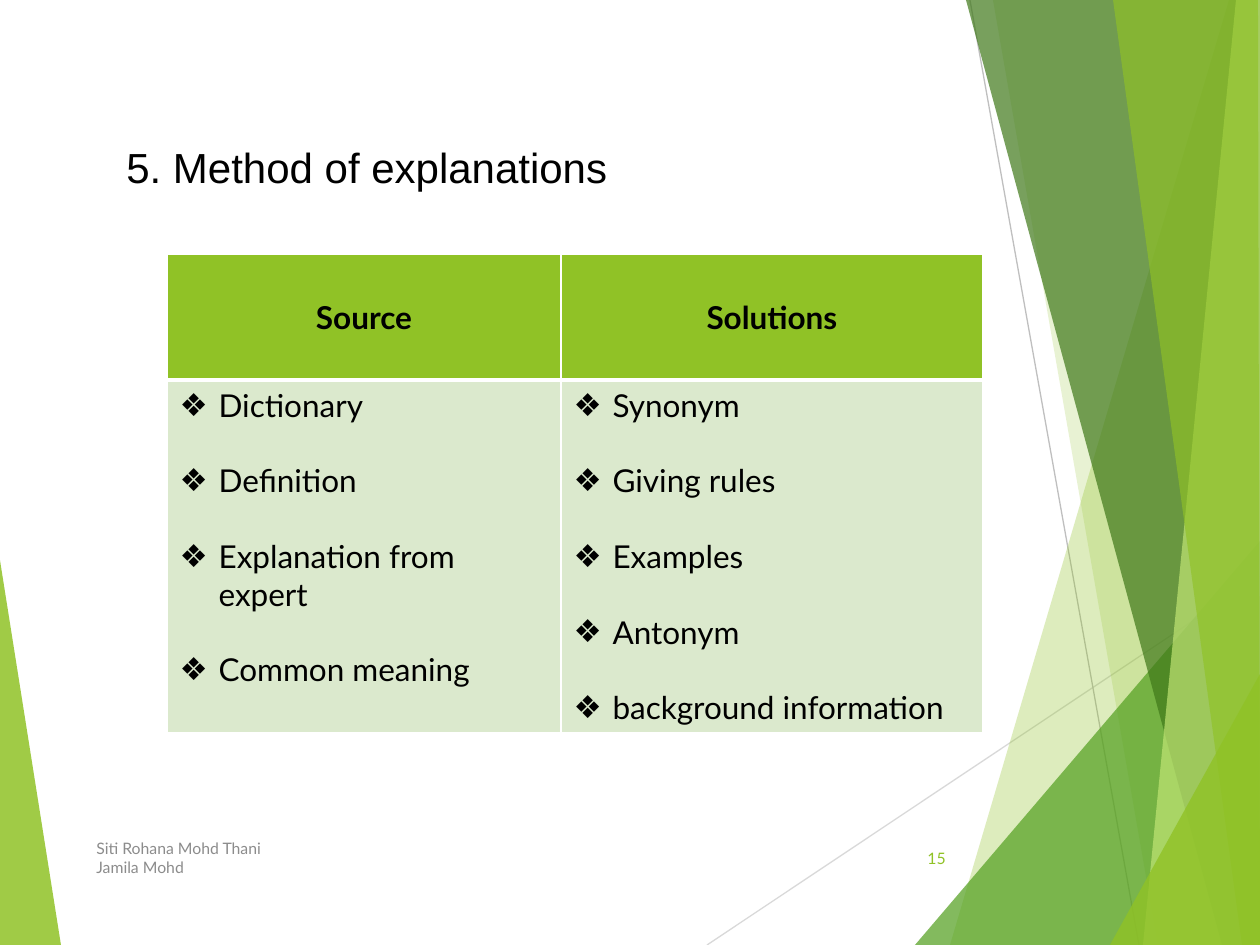
import pptx
import pptx.dml.color
import pptx.enum.shapes
import pptx.enum.text
import pptx.oxml.ns
import pptx.util
from lxml import etree

PX = 914400 / 126
W, H = 1260, 945
COLORS = {
    "lime": "90C226", "green": "54A021", "forest": "3F7819", "pale": "C0E474",
    "cell": "DBE9CD", "white": "FFFFFF", "black": "000000", "gray": "8C8C8C",
    "line_light": "D9D9D9", "line_dark": "BFBFBF",
}
ALIGN = pptx.enum.text.PP_ALIGN
MIDDLE = pptx.enum.text.MSO_ANCHOR.MIDDLE

# colour, opacity in percent, corner points
LEFT_FACET = ("lime", 85, [(0, 560), (61, H), (0, H)])
RIGHT_FACETS = [
    ("lime", 30, [(1229, 0), (950, H), (W, H), (W, 0)]),
    ("lime", 20, [(993, 0), (1158, H), (W, H), (W, 0)]),
    ("green", 72, [(915, H), (W, 541), (W, H)]),
    ("forest", 70, [(966, 0), (1222, H), (W, H), (W, 0)]),
    ("pale", 70, [(1236, 0), (1143, H), (W, H), (W, 0)]),
    ("lime", 65, [(1113, 0), (1242, H), (W, H), (1258, 0)]),
    ("lime", 80, [(1110, H), (W, 674), (W, H)]),
]
RAYS = [("line_light", (707, H), (W, 576)), ("line_dark", (970, 0), (1139, H))]

TITLE = "5. Method of explanations"
COLUMNS = [
    ("Source", 394, ["Dictionary", "Definition", "Explanation from expert",
                     "Common meaning"]),
    ("Solutions", 422, ["Synonym", "Giving rules", "Examples", "Antonym",
                        "background information"]),
]
ROW_HEIGHTS = [126, 352]
AUTHORS = ["Siti Rohana Mohd Thani", "Jamila Mohd"]
PAGE = "15"


def px(n):
    return pptx.util.Emu(round(n * PX))


def rgb(name):
    return pptx.dml.color.RGBColor.from_string(COLORS[name])


def sub(parent, tag, **attrs):
    return etree.SubElement(parent, pptx.oxml.ns.qn(tag), attrs)


def add_facet(s, color, opacity, points):
    builder = s.shapes.build_freeform(*points[0], scale=PX)
    builder.add_line_segments(points[1:], close=True)
    sp = builder.convert_to_shape()
    sp.shadow.inherit = False
    sp.line.fill.background()
    sp.fill.solid()
    sp.fill.fore_color.rgb = rgb(color)
    clr = sp.fill._xPr.find(".//" + pptx.oxml.ns.qn("a:srgbClr"))
    sub(clr, "a:alpha", val=str(opacity * 1000))


def add_ray(s, color, start, end):
    line = s.shapes.add_connector(pptx.enum.shapes.MSO_CONNECTOR.STRAIGHT,
                                  *map(px, start + end))
    line.line.color.rgb = rgb(color)
    line.line.width = pptx.util.Pt(0.75)
    sub(line._element.spPr, "a:effectLst")


def write(tf, lines, size=18, font="Lato", color="black", bold=False,
          align=ALIGN.LEFT, bullet=None, gap=0):
    """Write one paragraph per line, with gap points between them."""
    tf.word_wrap = True
    for i, text in enumerate(lines):
        p = tf.add_paragraph() if i else tf.paragraphs[0]
        p.alignment = align
        p.space_before = pptx.util.Pt(gap if i else 0)
        r = p.add_run()
        r.text = text
        r.font.size = pptx.util.Pt(size)
        r.font.name = font
        r.font.bold = bold
        r.font.color.rgb = rgb(color)
        if bullet:
            pPr = p._p.get_or_add_pPr()
            pPr.set("marL", str(px(39)))
            pPr.set("indent", str(px(-39)))
            sub(pPr, "a:buFont", typeface="Arial")
            sub(pPr, "a:buChar", char=bullet)


def add_text(s, box, lines, anchor=pptx.enum.text.MSO_ANCHOR.TOP, **fmt):
    tf = s.shapes.add_textbox(*map(px, box)).text_frame
    tf.vertical_anchor = anchor
    write(tf, lines, **fmt)


def style_cell(cell, color, top=1, bottom=1):
    """Give a cell white borders (widths in points) and a fill."""
    tcPr = cell._tc.get_or_add_tcPr()
    for side, width in zip("LRTB", (1, 1, top, bottom)):
        ln = sub(tcPr, "a:ln" + side, w=str(pptx.util.Pt(width)))
        sub(sub(ln, "a:solidFill"), "a:srgbClr", val=COLORS["white"])
    cell.fill.solid()
    cell.fill.fore_color.rgb = rgb(color)


def add_methods_table(s):
    width = sum(w for _, w, _ in COLUMNS)
    table = s.shapes.add_table(2, len(COLUMNS), px(167), px(254), px(width),
                               px(sum(ROW_HEIGHTS))).table
    for row, height in zip(table.rows, ROW_HEIGHTS):
        row.height = px(height)
    for c, (heading, col_width, items) in enumerate(COLUMNS):
        table.columns[c].width = px(col_width)
        head, body = table.cell(0, c), table.cell(1, c)
        style_cell(head, "lime", bottom=3)
        style_cell(body, "cell", top=3)
        head.vertical_anchor = MIDDLE
        write(head.text_frame, [heading], bold=True, align=ALIGN.CENTER)
        write(body.text_frame, items, bullet="❖", gap=21.6)


def main():
    prs = pptx.Presentation()
    prs.slide_width, prs.slide_height = px(W), px(H)
    s = prs.slides.add_slide(prs.slide_layouts[6])
    add_facet(s, *LEFT_FACET)
    for ray in RAYS:
        add_ray(s, *ray)
    for facet in RIGHT_FACETS:
        add_facet(s, *facet)
    add_text(s, (114, 135, 922, 217), [TITLE], size=24, font="Arial")
    add_methods_table(s)
    add_text(s, (84, 833, 638, 50), AUTHORS, MIDDLE, size=9, color="gray")
    add_text(s, (888, 833, 70, 50), [PAGE], MIDDLE, size=9, color="lime",
             align=ALIGN.RIGHT)
    prs.save("out.pptx")


if __name__ == "__main__":
    main()
